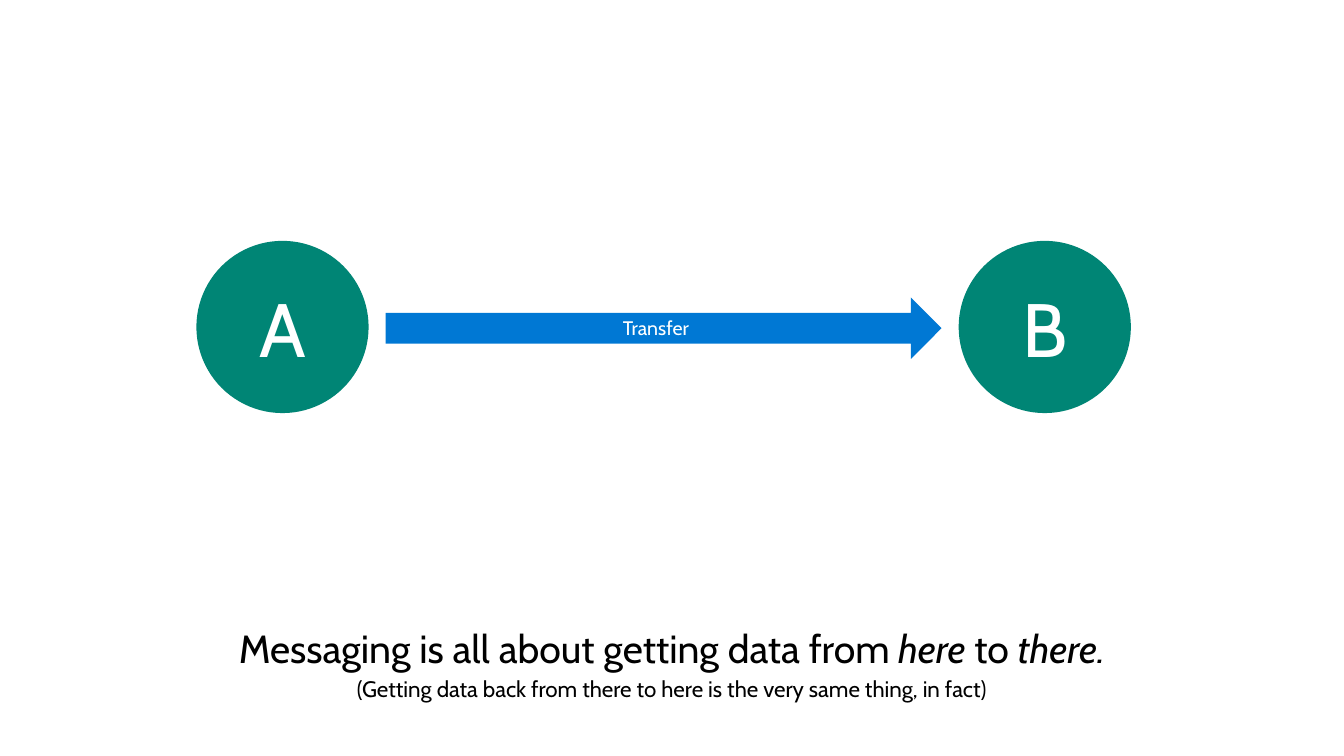
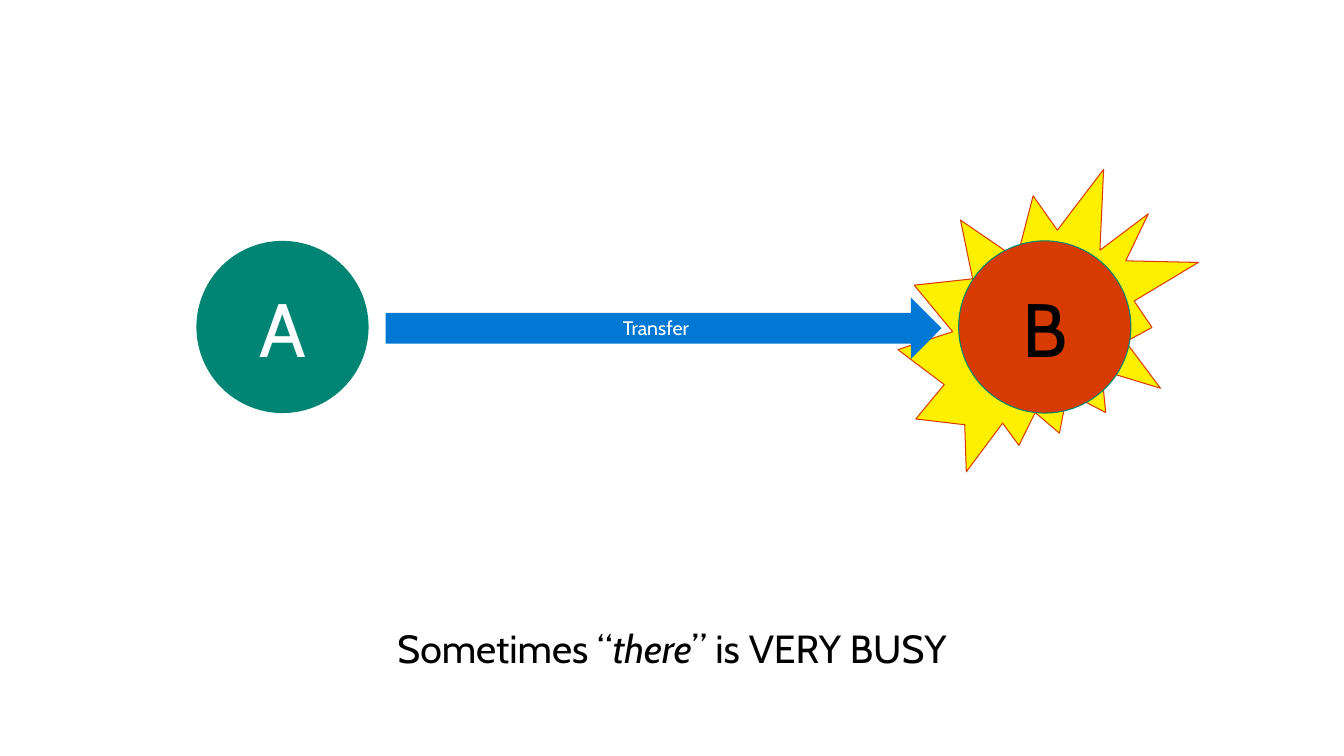
"""Builds two slides on moving data from A to B."""
import pptx
import pptx.dml.color
import pptx.enum.shapes
import pptx.enum.text
import pptx.util

Cm = pptx.util.Cm
Pt = pptx.util.Pt
SHAPE = pptx.enum.shapes.MSO_SHAPE
ANCHOR = pptx.enum.text.MSO_ANCHOR

FONT = "Cabin"
COLORS = {
    "white": "FFFFFF",
    "black": "000000",
    "teal": "008575",
    "blue": "0078D4",
    "red": "D83B01",
    "yellow": "FEF000",
}
DIAGRAM = (4.95, 6.07, 23.55, 4.34)
CAPTION = (1.63, 15.72, 30.61, 2.0)


def rgb(name):
    """Return the named colour."""
    return pptx.dml.color.RGBColor.from_string(COLORS[name])


def write(p, text, size=28, color="black", italic=False):
    """Add a formatted run to a centred paragraph."""
    p.alignment = pptx.enum.text.PP_ALIGN.CENTER
    r = p.add_run()
    r.text = text
    r.font.name = FONT
    r.font.size = Pt(size)
    r.font.italic = italic
    r.font.color.rgb = rgb(color)


def set_frame(tf, anchor, x=0, y=0):
    """Set wrapping, anchor and insets of a text frame."""
    tf.word_wrap = True
    tf.vertical_anchor = anchor
    tf.margin_left = tf.margin_right = Cm(x)
    tf.margin_top = tf.margin_bottom = Cm(y)


def add_shape(s, kind, box, fill, line=None, text="", size=54, color="white"):
    """Add a filled shape with an optional outline and label."""
    sp = s.shapes.add_shape(kind, *map(Cm, box))
    sp.shadow.inherit = False
    sp.fill.solid()
    sp.fill.fore_color.rgb = rgb(fill)
    if line:
        sp.line.color.rgb = rgb(line)
        sp.line.width = Pt(0.75)
    else:
        sp.line.fill.background()
    if text:
        set_frame(sp.text_frame, ANCHOR.MIDDLE, 0.51, 0.41)
        write(sp.text_frame.paragraphs[0], text, size, color)


def add_transfer(s, box, busy=False):
    """Draw A, B and the arrow between them, with a burst behind a busy B."""
    x, y, w, d = box
    gap, thick = 0.43, 1.55
    bx = x + w - d
    b_style = {"fill": "teal"}
    if busy:
        burst = (bx - 1.53, y - 1.8, 7.57, 7.62)
        add_shape(s, SHAPE.EXPLOSION2, burst, "yellow", "red")
        b_style = {"fill": "red", "line": "teal", "color": "black"}
    add_shape(s, SHAPE.OVAL, (x, y, d, d), "teal", text="A")
    add_shape(s, SHAPE.OVAL, (bx, y, d, d), text="B", **b_style)
    arrow = (x + d + gap, y + (d - thick) / 2 + 0.03, w - 2 * (d + gap), thick)
    add_shape(s, SHAPE.RIGHT_ARROW, arrow, "blue", text="Transfer", size=14)


def add_caption(s, box, runs, note=None):
    """Write the statement, with every second run in italics, and its note."""
    tf = s.shapes.add_textbox(*map(Cm, box)).text_frame
    set_frame(tf, ANCHOR.TOP)
    for i, text in enumerate(runs):
        write(tf.paragraphs[0], text, italic=i % 2 == 1)
    if note:
        p = tf.add_paragraph()
        p.space_before = Pt(3.2)
        write(p, note, size=16)


def add_slide(prs, runs, note=None, busy=False):
    """Add a slide with the transfer diagram above its caption."""
    s = prs.slides.add_slide(prs.slide_layouts[6])
    add_transfer(s, DIAGRAM, busy)
    add_caption(s, CAPTION, runs, note)


def main():
    """Build and save the presentation."""
    prs = pptx.Presentation()
    prs.slide_width, prs.slide_height = Cm(33.87), Cm(19.05)
    add_slide(
        prs,
        ["Messaging is all about getting data from ", "here", " to ", "there."],
        note="(Getting data back from there to here is the very same thing, in fact)",
    )
    add_slide(prs, ["Sometimes “", "there", "” is VERY BUSY"], busy=True)
    prs.save("out.pptx")


if __name__ == "__main__":
    main()
